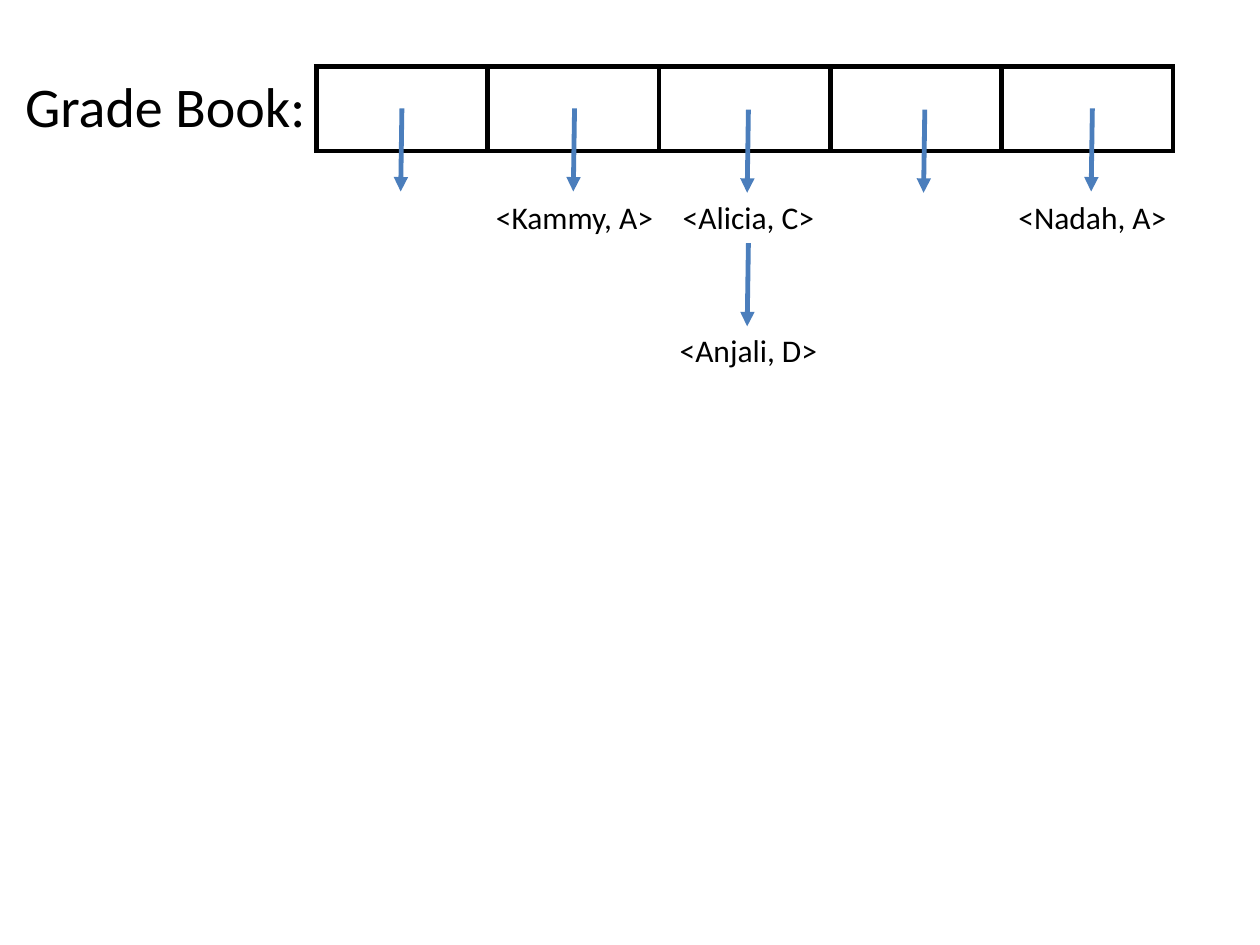
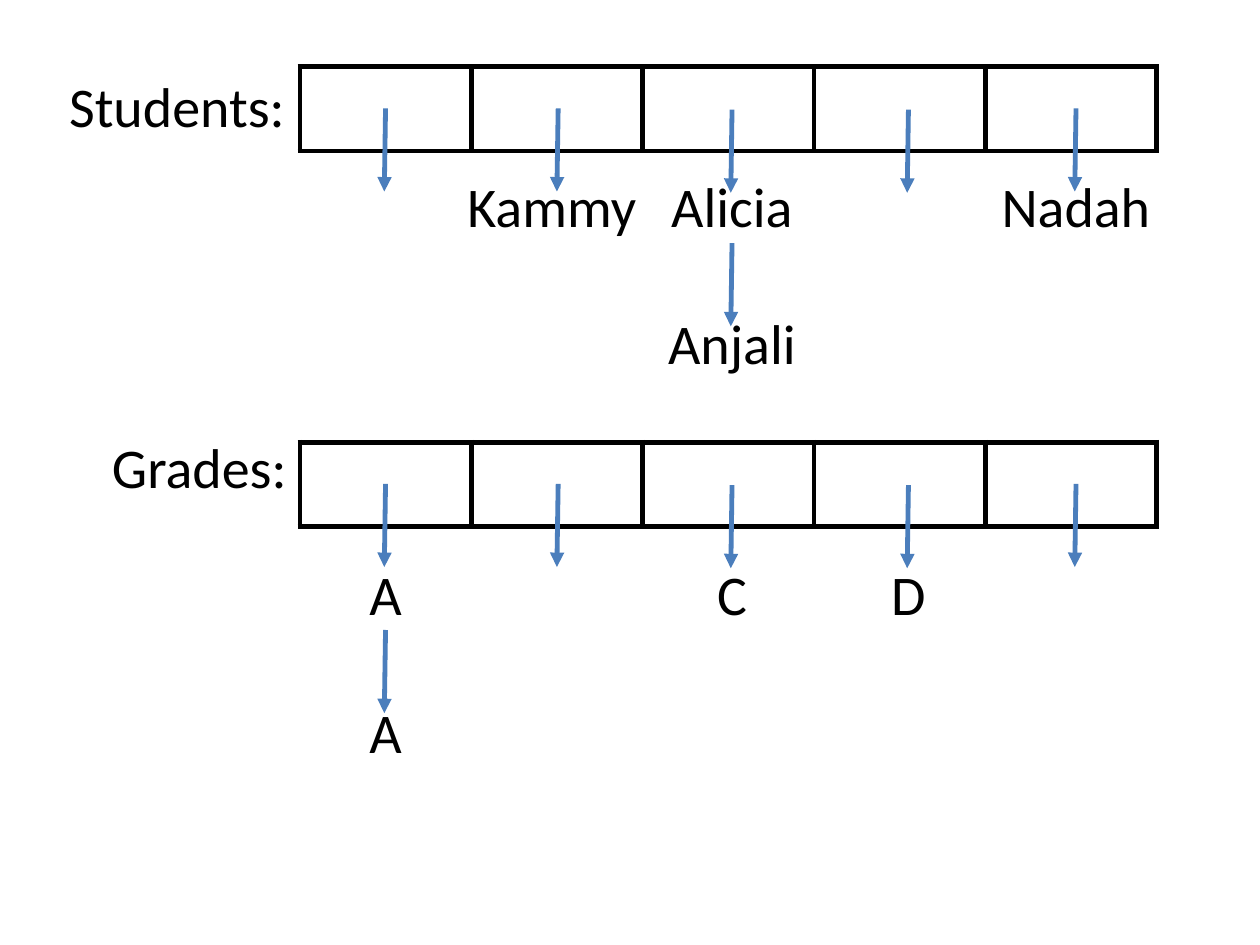
from lxml import etree
from pptx import Presentation
from pptx import util as u
from pptx.dml.color import RGBColor
from pptx.enum import shapes, text
from pptx.oxml.ns import qn

COLORS = {"ink": "000000", "cell": "FFFFFF", "arrow": "4B7EBC"}
FONT = "Calibri"
LABEL_SIZE = 32

SLIDES = [
    [
        {
            "label": "Grade Book:", "label_at": (0.1, 0.52, 2.98), "row_at": (2.51, 0.53),
            "buckets": [[], ["<Kammy, A>"], ["<Alicia, C>", "<Anjali, D>"], [], ["<Nadah, A>"]],
            "size": 18, "entry_box": (2.53, 0.71), "entry_drops": (0.99, 2.05), "link_drop": 1.4,
        },
    ],
    [
        {
            "label": "Students:", "label_at": (0.45, 0.52, 2.5), "row_at": (2.38, 0.53),
            "buckets": [[], ["Kammy "], ["Alicia", "Anjali"], [], ["Nadah"]],
            "size": 32, "entry_box": (2.53, 0.94), "entry_drops": (0.78, 1.87), "link_drop": 1.4,
        },
        {
            "label": "Grades:", "label_at": (0.79, 3.38, 2.15), "row_at": (2.38, 3.51),
            "buckets": [["A", "A"], [], ["C"], ["D"], []],
            "size": 32, "entry_box": (0.74, 0.94), "entry_drops": (0.88, 1.98), "link_drop": 1.49,
        },
    ],
]

CELL_WIDTH, CELL_HEIGHT = 1.36, 0.67
ARROW_OFFSETS = [(0.68, 0.33), (2.05, 0.33), (3.43, 0.34), (4.83, 0.34), (6.16, 0.33)]
ARROW_LENGTH, ARROW_LEAN = 0.66, 0.01


def rgb(name):
    return RGBColor.from_string(COLORS[name])


def add_words(slide, words, left, top, width, height, size, align):
    box = slide.shapes.add_textbox(*map(u.Inches, (left, top, width, height)))
    box.text_frame.word_wrap = True
    paragraph = box.text_frame.paragraphs[0]
    paragraph.alignment = align
    run = paragraph.add_run()
    run.text = words
    run.font.size, run.font.name = u.Pt(size), FONT
    run.font.color.rgb = rgb("ink")


def add_arrow(slide, x, y):
    ends = (x, y, x - ARROW_LEAN, y + ARROW_LENGTH)
    arrow = slide.shapes.add_connector(shapes.MSO_CONNECTOR.STRAIGHT, *map(u.Inches, ends))
    arrow.line.color.rgb = rgb("arrow")
    arrow.line.width = u.Pt(2.75)
    etree.SubElement(arrow.line._get_or_add_ln(), qn("a:tailEnd"), type="triangle")
    etree.SubElement(arrow._element.spPr, qn("a:effectLst"))


def add_borders(cell):
    properties = cell._tc.get_or_add_tcPr()
    for position, side in enumerate(("lnL", "lnR", "lnT", "lnB")):
        border = etree.Element(qn(f"a:{side}"), w=str(u.Pt(3)))
        paint = etree.SubElement(border, qn("a:solidFill"))
        etree.SubElement(paint, qn("a:srgbClr"), val=COLORS["ink"])
        properties.insert(position, border)


def add_bucket_row(slide, left, top, count):
    frame = slide.shapes.add_table(
        1, count, *map(u.Inches, (left, top, CELL_WIDTH * count, CELL_HEIGHT)))
    row = frame.table
    row.first_row = row.horz_banding = False
    for column in row.columns:
        column.width = u.Inches(CELL_WIDTH)
    for cell in row.iter_cells():
        cell.fill.solid()
        cell.fill.fore_color.rgb = rgb("cell")
        add_borders(cell)


def add_hash_table(slide, table):
    left, top = table["row_at"]
    width, height = table["entry_box"]
    add_bucket_row(slide, left, top, len(table["buckets"]))
    for (dx, dy), entries in zip(ARROW_OFFSETS, table["buckets"]):
        x = left + dx
        add_arrow(slide, x, top + dy)
        for depth, entry in enumerate(entries):
            if depth:
                add_arrow(slide, x, top + table["link_drop"])
            add_words(slide, entry, x - width / 2, top + table["entry_drops"][depth],
                      width, height, table["size"], text.PP_ALIGN.CENTER)
    label_left, label_top, label_width = table["label_at"]
    add_words(slide, table["label"], label_left, label_top, label_width, 0.94,
              LABEL_SIZE, text.PP_ALIGN.LEFT)


def main():
    deck = Presentation()
    deck.slide_width, deck.slide_height = u.Inches(10), u.Inches(7.5)
    for tables in SLIDES:
        slide = deck.slides.add_slide(deck.slide_layouts[6])
        for table in tables:
            add_hash_table(slide, table)
    deck.save("out.pptx")


if __name__ == "__main__":
    main()
